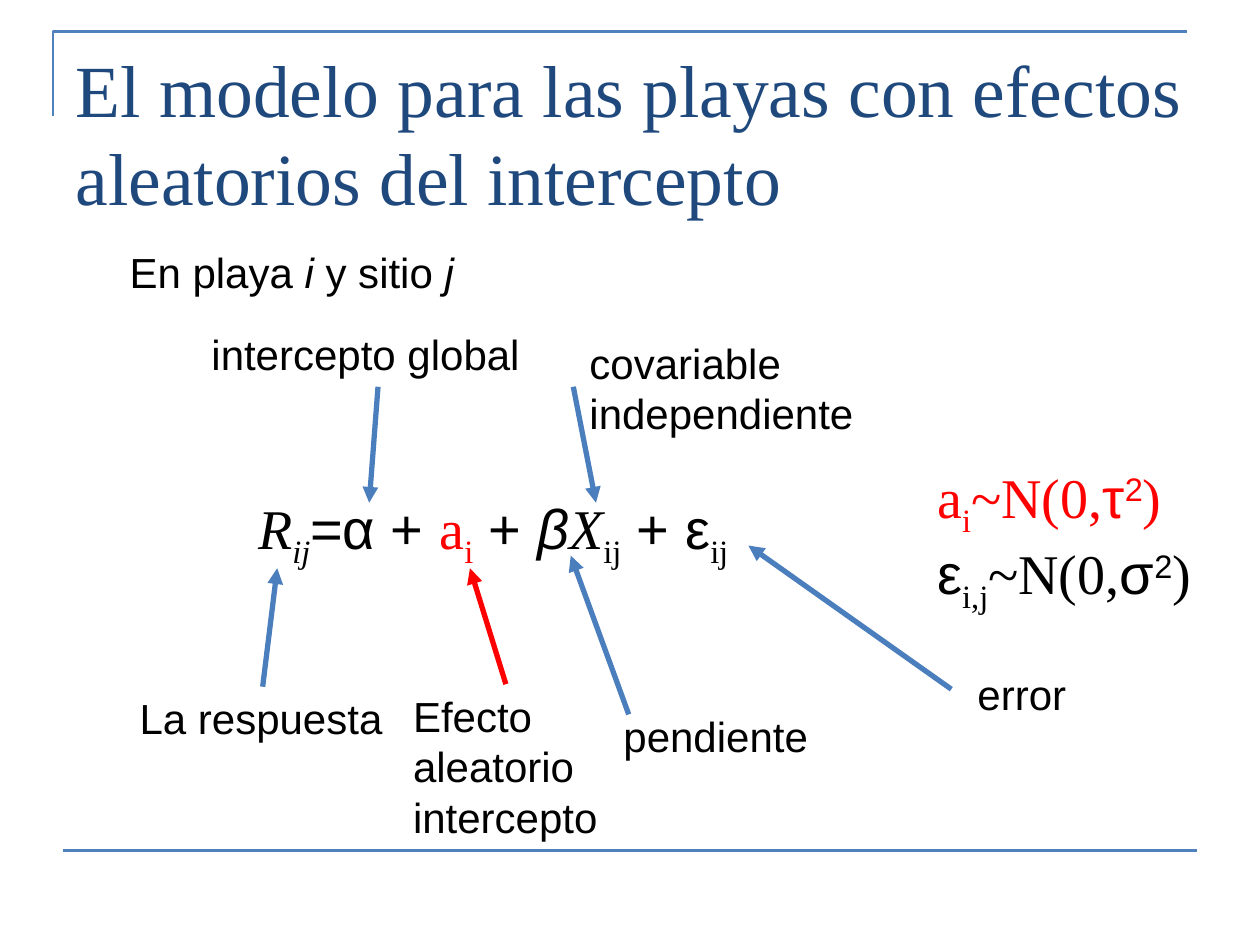
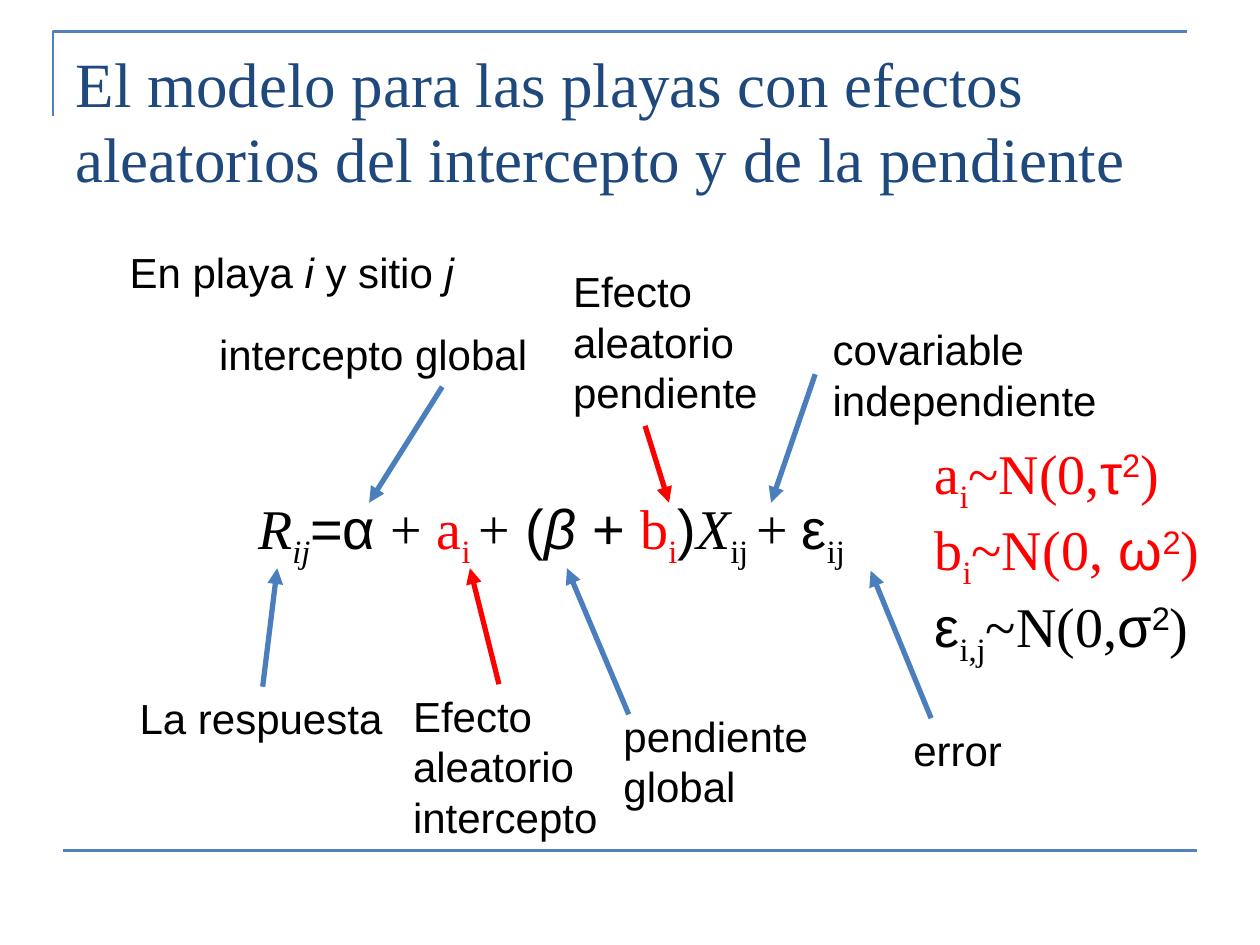
import pptx
import pptx.util
import pptx.dml.color
import pptx.enum.shapes
import pptx.enum.text
import pptx.oxml
import pptx.oxml.ns

COLORS = {"text": "000000", "title": "1F497D", "rule": "4F81BD",
          "arrow": "4B7EBC", "random": "FF0000"}
SERIF, SANS = "Times New Roman", "Arial"
LABEL_SIZE, FORMULA_SIZE = 24, 32
LINE_H, PAD = 0.405, 0.1

# Run styles: t serif, i italic, r red, _ subscript, ^ superscript.
INTERCEPT_DIST = [("a", "tr"), ("i", "tr_"), ("~N(0,", "tr"), ("τ", "r"), ("2", "r^"), (")", "tr")]
SLOPE_DIST = [("b", "tr"), ("i", "tr_"), ("~N(0,", "tr"), (" ω", "r"), ("2", "r^"), (")", "tr")]
ERROR_DIST = [("ε", ""), ("i,j", "t_"), ("~N(0,", "t"), ("σ", ""), ("2", "^"), (")", "t")]
SITE = [("En playa ", ""), ("i", "i"), (" y sitio ", ""), ("j", "i")]
RESPONSE = [("R", "ti"), ("ij", "ti_")]

SHARED_LABELS = {
    "respuesta": (["La respuesta"], 1.01, 5.45, 2.15, 1),
    "efecto intercepto": (["Efecto", "aleatorio", "intercepto"], 3.18, 5.43, 1.67, 3),
}
SHARED_ARROWS = [("respuesta", (2.2, 4.51), "arrow")]

SLIDES = [
    {
        "title": "El modelo para las playas con efectos aleatorios del intercepto",
        "title_size": 42,
        "labels": {
            "global": (["intercepto global"], 1.58, 2.56, 3, 1),
            "pendiente": (["pendiente"], 4.85, 5.59, 1.87, 1),
            "covariable": (["covariable independiente"], 4.58, 2.63, 2.51, 2),
            "error": (["error"], 7.66, 5.26, 0.97, 1),
        },
        "arrows": [
            ((3, 3.07), (2.93, 3.99), "arrow"),
            ((4.99, 5.67), (4.53, 4.41), "arrow"),
            ((4.55, 3.07), (4.73, 3.99), "arrow"),
            ("efecto intercepto", (3.73, 4.51), "random"),
            ((7.55, 5.47), (5.94, 4.33), "arrow"),
        ],
        "formula": RESPONSE + [
            ("=α + ", ""), ("a", "tr"), ("i", "tr_"), (" + ", ""), ("β", "i"),
            ("X", "ti"), ("ij", "t_"), (" + ε", ""), ("ij", "t_")],
        "formula_width": 4.05,
        "dists": [INTERCEPT_DIST, ERROR_DIST],
        "dists_box": (7.34, 3.62, 2.3, 1.18),
    },
    {
        "title": "El modelo para las playas con efectos aleatorios del intercepto y de la pendiente",
        "title_size": 36,
        "labels": {
            "global": (["intercepto global"], 1.64, 2.56, 2.94, 1),
            "pendiente": (["pendiente", "global"], 4.85, 5.59, 1.87, 2),
            "covariable": (["covariable independiente"], 6.51, 2.52, 2.51, 2),
            "error": (["error"], 7.15, 5.7, 0.97, 1),
            "efecto pendiente": (["Efecto", "aleatorio", "pendiente"], 4.45, 2.06, 1.67, 3),
        },
        "arrows": [
            ((3.51, 3.07), (2.93, 3.99), "arrow"),
            ((4.99, 5.67), (4.5, 4.51), "arrow"),
            ((6.47, 2.97), (6.12, 3.99), "arrow"),
            ((3.96, 5.43), (3.73, 4.51), "random"),
            ((7.39, 5.7), (6.91, 4.53), "arrow"),
            ((5.12, 3.38), (5.31, 3.99), "random"),
        ],
        "formula": RESPONSE + [
            ("=α ", ""), ("+ ", "t"), ("a", "tr"), ("i ", "tr_"), ("+", "t"),
            (" (", ""), ("β ", "i"), ("+ ", ""), ("b", "tr"), ("i", "tr_"),
            (")", ""), ("X", "ti"), ("ij ", "t_"), ("+ ", "t"), ("ε", ""), ("ij", "t_")],
        "formula_width": 5.1,
        "dists": [INTERCEPT_DIST, SLOPE_DIST, ERROR_DIST],
        "dists_box": (7.32, 3.43, 2.3, 1.72),
    },
]


def inches(*values):
    return [pptx.util.Inches(v) for v in values]


def rgb(name):
    return pptx.dml.color.RGBColor.from_string(COLORS[name])


def set_all(obj, **values):
    for name, value in values.items():
        setattr(obj, name, value)


def add_run(p, text, style, size, color="text"):
    r = p.add_run()
    r.text = text
    set_all(r.font, name=SERIF if "t" in style else SANS,
            size=pptx.util.Pt(size), italic="i" in style)
    r.font.color.rgb = rgb("random" if "r" in style else color)
    for mark, shift in (("_", "-25000"), ("^", "30000")):
        if mark in style:
            r.font._element.set("baseline", shift)


def add_text(slide, lines, box, size, wrap=True):
    sp = slide.shapes.add_textbox(*inches(*box))
    tf = sp.text_frame
    set_all(tf, word_wrap=wrap, auto_size=pptx.enum.text.MSO_AUTO_SIZE.SHAPE_TO_FIT_TEXT)
    for n, runs in enumerate(lines):
        p = tf.add_paragraph() if n else tf.paragraphs[0]
        for text, style in runs:
            add_run(p, text, style, size)
    return sp


def add_line(slide, start, end, color, width):
    line = slide.shapes.add_connector(
        pptx.enum.shapes.MSO_CONNECTOR.STRAIGHT, *inches(*start, *end))
    line.line.color.rgb = rgb(color)
    line.line.width = pptx.util.Pt(width)
    pptx.oxml.ns.qn("a:effectLst")
    line.element.spPr.append(pptx.oxml.parse_xml(
        f'<a:effectLst {pptx.oxml.ns.nsdecls("a")}/>'))
    return line


def add_arrow(slide, start, end, color, boxes):
    joined = boxes.get(start) if isinstance(start, str) else None
    line = add_line(slide, end if joined else start, end, color, 3)
    if joined:
        line.begin_connect(joined, 0)
    line.line._get_or_add_ln().append(pptx.oxml.parse_xml(
        f'<a:tailEnd {pptx.oxml.ns.nsdecls("a")} type="triangle"/>'))


def add_frame(slide, layout):
    corner = slide.shapes.build_freeform(*inches(0.42, 0.92), scale=1.0)
    corner.add_line_segments([inches(0.42, 0.25), inches(9.42, 0.25)], close=False)
    sp = corner.convert_to_shape()
    sp.shadow.inherit = False
    sp.fill.background()
    sp.line.color.rgb = rgb("rule")
    sp.line.width = pptx.util.Pt(1.5)
    rule = add_line(slide, (0.5, 6.75), (9.5, 6.75), "rule", 1.5)
    tree = layout.element.cSld.spTree
    for part in (sp, rule):
        tree.append(part.element)


def add_title(slide, text, size):
    sp = slide.shapes.title
    left, top, width, height = inches(0.5, 0.3, 9, 1.25)
    set_all(sp, left=left, top=top, width=width, height=height)
    tf = sp.text_frame
    set_all(tf, word_wrap=True, auto_size=pptx.enum.text.MSO_AUTO_SIZE.NONE,
            vertical_anchor=pptx.enum.text.MSO_ANCHOR.TOP)
    p = tf.paragraphs[0]
    p.alignment = pptx.enum.text.PP_ALIGN.LEFT
    add_run(p, text, "t", size, "title")


def build_slide(slide, data):
    add_title(slide, data["title"], data["title_size"])
    add_text(slide, [SITE], (0.93, 1.91, 2.8, 0.5), LABEL_SIZE, wrap=False)
    boxes = {}
    for name, (lines, left, top, width, rows) in {**SHARED_LABELS, **data["labels"]}.items():
        boxes[name] = add_text(slide, [[(line, "")] for line in lines],
                               (left, top, width, round(PAD + rows * LINE_H, 2)), LABEL_SIZE)
    add_text(slide, [data["formula"]], (1.95, 3.87, data["formula_width"], 0.64),
             FORMULA_SIZE, wrap=False)
    add_text(slide, data["dists"], data["dists_box"], FORMULA_SIZE)
    for start, end, color in SHARED_ARROWS + data["arrows"]:
        add_arrow(slide, start, end, color, boxes)


def main():
    prs = pptx.Presentation()
    prs.slide_width, prs.slide_height = inches(10, 7.5)
    layout = prs.slide_layouts[5]
    for n, data in enumerate(SLIDES):
        slide = prs.slides.add_slide(layout)
        if n == 0:
            add_frame(slide, layout)
        build_slide(slide, data)
    prs.save("out.pptx")


if __name__ == "__main__":
    main()
